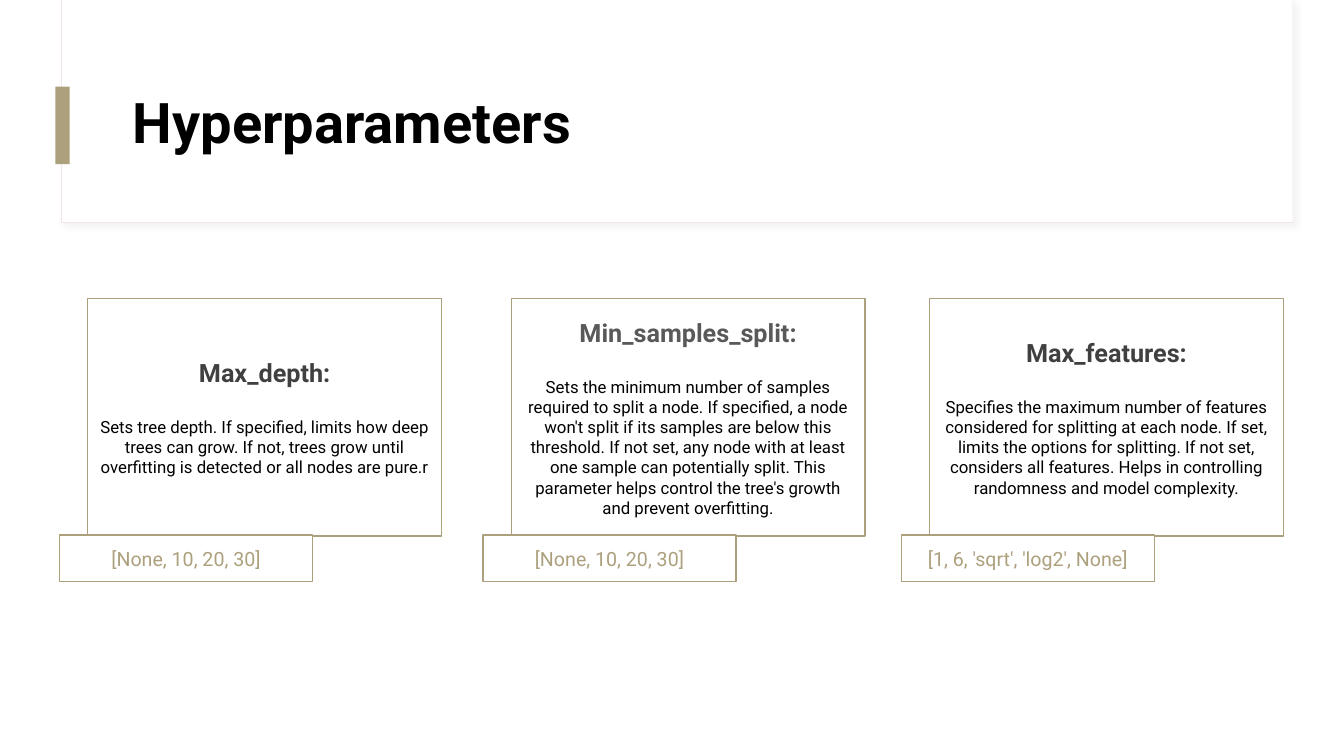
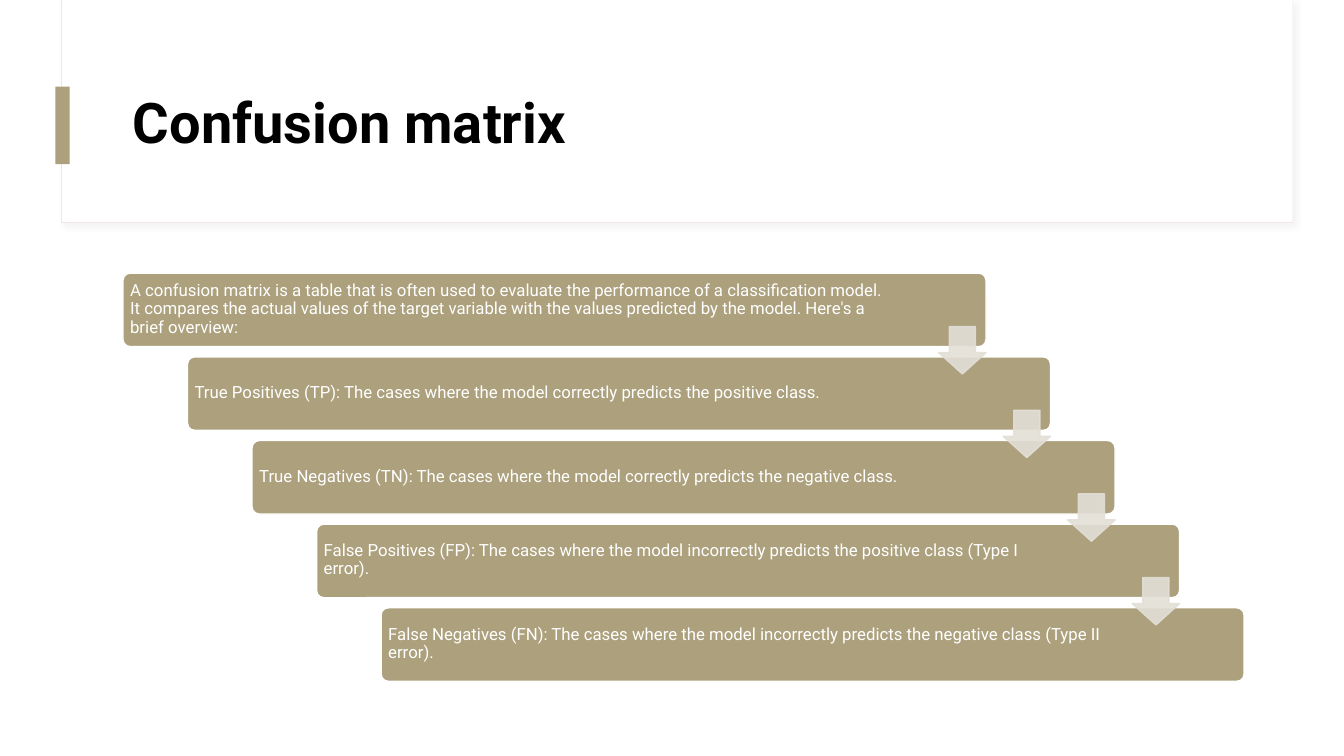
from dataclasses import dataclass
from lxml import etree
from pptx import Presentation
from pptx.dml.color import RGBColor
from pptx.enum.shapes import MSO_SHAPE as Shape
from pptx.enum.text import MSO_ANCHOR as Anchor, PP_ALIGN as Align
from pptx.oxml.ns import qn
from pptx.util import Inches, Pt


@dataclass(frozen=True)
class Theme:
    """Colours, font and type sizes of the deck."""
    font: str = "Roboto"
    white: str = "FFFFFF"
    black: str = "000000"
    gold: str = "ACA07D"
    sand: str = "E3DFD7"
    blush: str = "F0E5EA"
    shadow: str = "D9D9D9"
    dark: str = "404040"
    grey: str = "595959"
    title: int = 40
    heading: int = 18
    value: int = 14
    body: int = 12


T = Theme()

CARDS = [
    (0.59, "Max_depth:", T.dark,
     "Sets tree depth. If specified, limits how deep trees can grow. If not, trees grow until "
     "overfitting is detected or all nodes are pure.r",
     "[None, 10, 20, 30]"),
    (4.79, "Min_samples_split:", T.grey,
     "Sets the minimum number of samples required to split a node. If specified, a node won't "
     "split if its samples are below this threshold. If not set, any node with at least one "
     "sample can potentially split. This parameter helps control the tree's growth and prevent "
     "overfitting.",
     "[None, 10, 20, 30]"),
    (8.94, "Max_features:", T.dark,
     "Specifies the maximum number of features considered for splitting at each node. If set, "
     "limits the options for splitting. If not set, considers all features. Helps in "
     "controlling randomness and model complexity.",
     "[1, 6, 'sqrt', 'log2', None]"),
]

STEPS = [
    "A confusion matrix is a table that is often used to evaluate the performance of a "
    "classification model. It compares the actual values of the target variable with the "
    "values predicted by the model. Here's a brief overview:",
    "True Positives (TP): The cases where the model correctly predicts the positive class.",
    "True Negatives (TN): The cases where the model correctly predicts the negative class.",
    "False Positives (FP): The cases where the model incorrectly predicts the positive class "
    "(Type I error).",
    "False Negatives (FN): The cases where the model incorrectly predicts the negative class "
    "(Type II error).",
]


def add_box(slide, kind, box, fill, line=None, weight=1, adj=()):
    """Add a filled preset shape without a shadow."""
    sp = slide.shapes.add_shape(kind, *map(Inches, box))
    sp.shadow.inherit = False
    sp.fill.solid()
    sp.fill.fore_color.rgb = RGBColor.from_string(fill)
    if line:
        sp.line.color.rgb = RGBColor.from_string(line)
        sp.line.width = Pt(weight)
    else:
        sp.line.fill.background()
    for i, value in enumerate(adj):
        sp.adjustments[i] = value
    return sp


def set_alpha(sp, percent):
    """Make the fill and line of a shape partly transparent."""
    for color in sp._element.spPr.iter(qn("a:srgbClr")):
        etree.SubElement(color, qn("a:alpha"), val=str(percent * 1000))


def add_soft_shadow(sp):
    """Give a shape a faint shadow to the lower right."""
    effects = sp._element.spPr.find(qn("a:effectLst"))
    shadow = etree.SubElement(effects, qn("a:outerShdw"), blurRad=str(Pt(4)), dist=str(Pt(3)),
                              dir=str(45 * 60000), algn="tl", rotWithShape="0")
    color = etree.SubElement(shadow, qn("a:srgbClr"), val=T.shadow)
    etree.SubElement(color, qn("a:alpha"), val="30000")


def add_run(p, text, size, color, bold=False):
    """Add one styled run to a paragraph."""
    r = p.add_run()
    r.text = text
    r.font.name = T.font
    r.font.size = Pt(size)
    r.font.bold = bold
    r.font.color.rgb = RGBColor.from_string(color)


def middle_frame(sp):
    """Return the wrapped, vertically centred text frame of a shape."""
    tf = sp.text_frame
    tf.word_wrap = True
    tf.vertical_anchor = Anchor.MIDDLE
    return tf


def add_label(slide, box, text, size, color, bold=False, inset=None):
    """Add a left-aligned text box with tight lines."""
    tf = middle_frame(slide.shapes.add_textbox(*map(Inches, box)))
    if inset is not None:
        tf.margin_left = tf.margin_right = tf.margin_top = tf.margin_bottom = Inches(inset)
    p = tf.paragraphs[0]
    p.line_spacing = 0.9
    add_run(p, text, size, color, bold)


def add_titled_slide(prs, title):
    """Add a blank slide with the header panel, accent bar and title."""
    slide = prs.slides.add_slide(prs.slide_layouts[6])
    panel = add_box(slide, Shape.RECTANGLE, (0.61, 0, 12.21, 2.21), T.white, T.blush, 0.75)
    add_soft_shadow(panel)
    add_box(slide, Shape.RECTANGLE, (0.62, 0, 12.2, 2.2), T.white)
    add_box(slide, Shape.RECTANGLE, (0.55, 0.86, 0.14, 0.77), T.gold)
    add_label(slide, (1.22, 0.6, 11.12, 1.29), title, T.title, T.black, True)
    return slide


def add_card(slide, x, y, heading, color, body, values):
    """Add a parameter card with its value tag overlapping the lower left."""
    card = add_box(slide, Shape.RECTANGLE, (x + 0.28, y, 3.51, 2.36), T.white, T.gold)
    tf = middle_frame(card)
    p = tf.paragraphs[0]
    p.alignment = Align.CENTER
    p.space_after = Pt(21)
    add_run(p, heading, T.heading, color, True)
    p = tf.add_paragraph()
    p.alignment = Align.CENTER
    add_run(p, body, T.body, T.black)
    tag = add_box(slide, Shape.RECTANGLE, (x, y + 2.35, 2.51, 0.46), T.white, T.gold)
    p = middle_frame(tag).paragraphs[0]
    p.alignment = Align.CENTER
    add_run(p, values, T.value, T.gold)


def add_staircase(slide, x, y, steps):
    """Add descending bars, then the arrows that link each to the next."""
    width, height, dx, dy, arrow = 8.56, 0.73, 0.64, 0.83, 0.47
    corners = [(x + i * dx, y + i * dy) for i in range(len(steps))]
    for i, ((left, top), text) in enumerate(zip(corners, steps)):
        add_box(slide, Shape.ROUNDED_RECTANGLE, (left, top, width, height),
                T.gold, T.white, adj=[0.1])
        text_width = 7.41 if i else 7.69
        add_label(slide, (left + 0.02, top + 0.02, text_width, 0.68), text, T.body, T.white,
                  inset=0.05)
    for left, top in corners[:-1]:
        sp = add_box(slide, Shape.DOWN_ARROW, (left + width - arrow, top + 0.53, arrow, arrow),
                     T.sand, T.sand, adj=[0.55, 0.45])
        set_alpha(sp, 90)


def main():
    """Build and save both slides."""
    prs = Presentation()
    prs.slide_width, prs.slide_height = Inches(13.33), Inches(7.5)
    slide = add_titled_slide(prs, "Hyperparameters")
    for x, *content in CARDS:
        add_card(slide, x, 2.96, *content)
    slide = add_titled_slide(prs, "Confusion matrix")
    add_staircase(slide, 1.22, 2.71, STEPS)
    prs.save("out.pptx")


if __name__ == "__main__":
    main()
